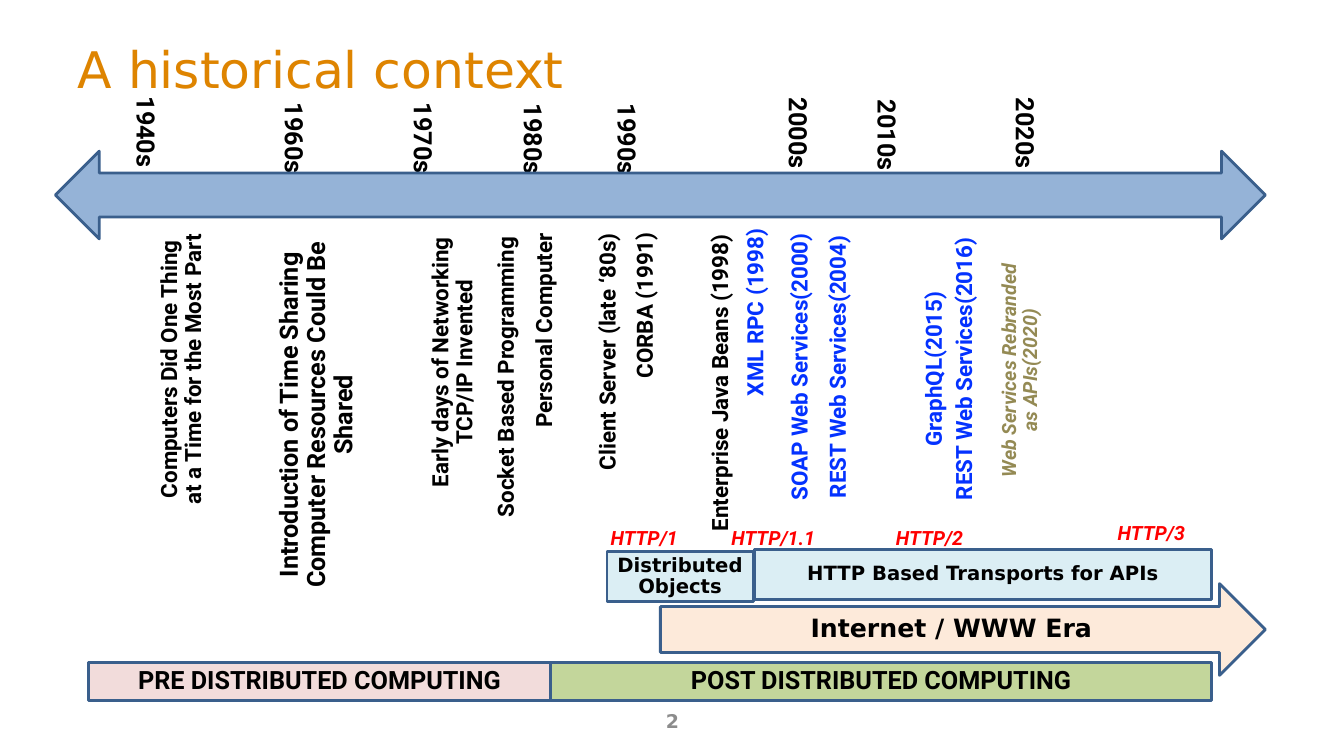
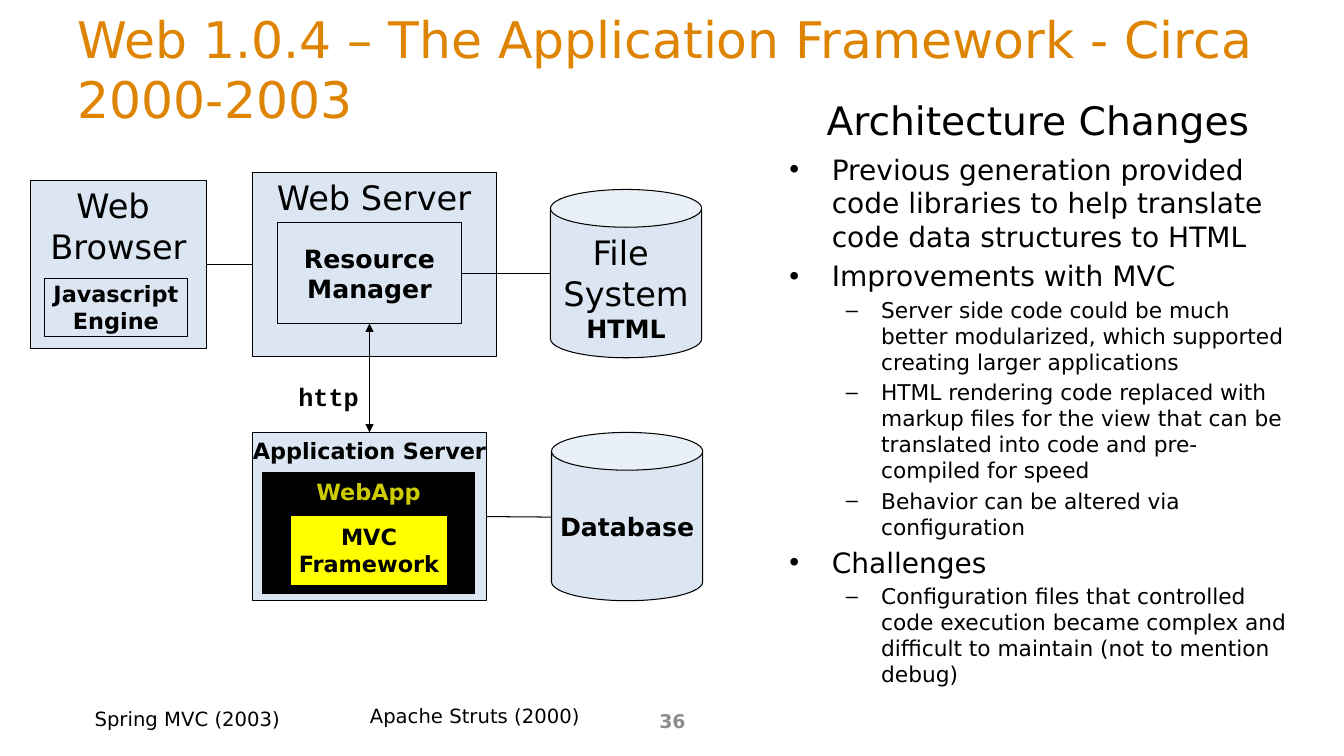
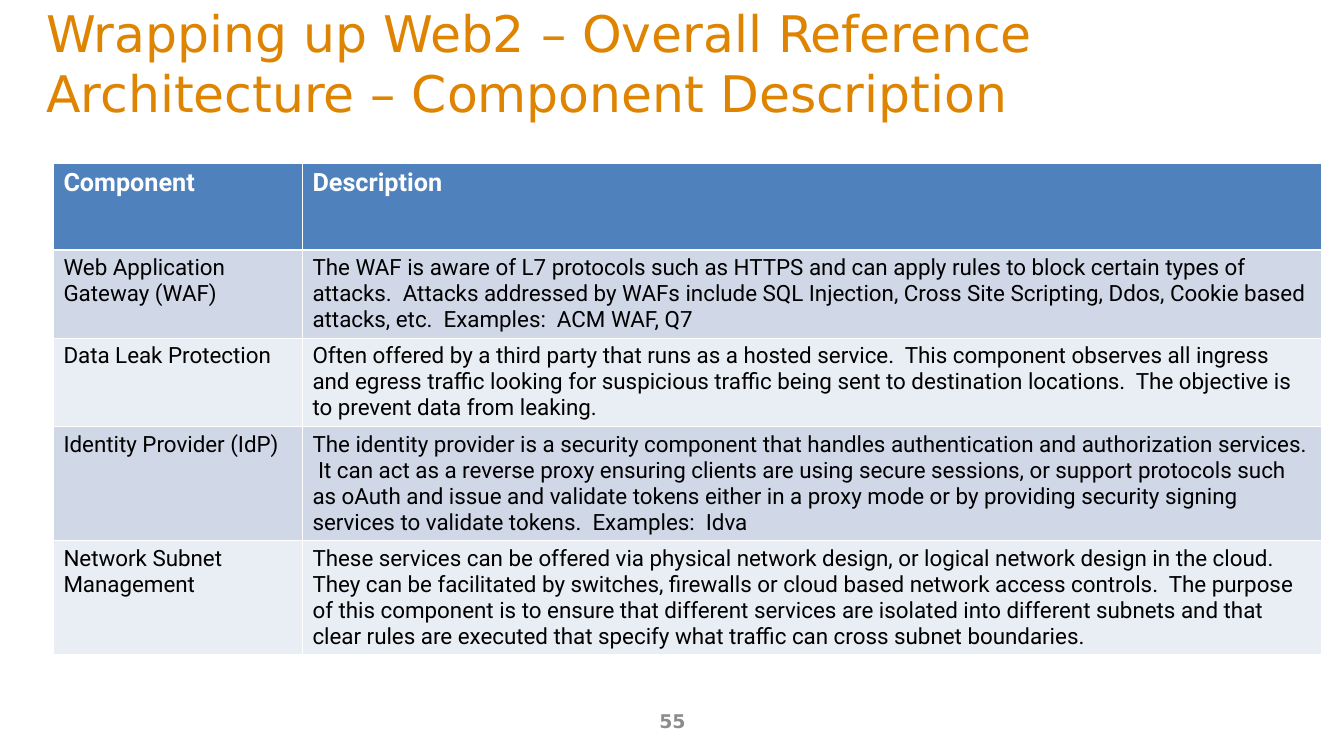
"""Build three slides on the history and design of web systems."""
from collections import namedtuple

from lxml import etree
from pptx import Presentation
from pptx import util as u
from pptx.dml.color import RGBColor
from pptx.enum import shapes, text
from pptx.oxml import ns

PX = 9144

BLACK = RGBColor(0x00, 0x00, 0x00)
WHITE = RGBColor(0xFF, 0xFF, 0xFF)
ORANGE = RGBColor(0xDE, 0x84, 0x00)
GREY = RGBColor(0x8C, 0x8C, 0x8C)
STEEL = RGBColor(0x95, 0xB3, 0xD7)
NAVY = RGBColor(0x3A, 0x5F, 0x8C)
BLUE = RGBColor(0x04, 0x32, 0xFF)
RED = RGBColor(0xFF, 0x00, 0x00)
KHAKI = RGBColor(0x94, 0x8A, 0x54)
PINK = RGBColor(0xF2, 0xDC, 0xDB)
GREEN = RGBColor(0xC3, 0xD6, 0x9B)
PEACH = RGBColor(0xFD, 0xEA, 0xDA)
AQUA = RGBColor(0xDB, 0xEE, 0xF4)
PALE = RGBColor(0xDC, 0xE6, 0xF2)
OLIVE = RGBColor(0xCC, 0xCC, 0x00)
YELLOW = RGBColor(0xFF, 0xFF, 0x00)
HEADER = RGBColor(0x4F, 0x81, 0xBD)
BANDS = RGBColor(0xD0, 0xD8, 0xE8), RGBColor(0xE9, 0xED, 0xF4)

Look = namedtuple("Look", "size name color bold italic", defaults=(BLACK, False, False))
SANS, ROBOTO = "DejaVu Sans", "Roboto"
TITLE = Look(36, SANS, ORANGE)
NUMBER = Look(13.5, SANS, GREY, True)
YEAR = Look(18, ROBOTO, bold=True)
EVENT = Look(16, ROBOTO, bold=True)
WEB = EVENT._replace(color=BLUE)
BRAND = Look(14, ROBOTO, KHAKI, True, True)
HTTP = BRAND._replace(color=RED)
BIG = Look(24, SANS)
STRONG = Look(18, SANS, bold=True)
SMALL = STRONG._replace(size=16)
ERA = STRONG._replace(size=14)
NOTE = Look(14, SANS)

LEFT, MID = text.PP_ALIGN.LEFT, text.PP_ALIGN.CENTER
TOP, CORE = text.MSO_ANCHOR.TOP, text.MSO_ANCHOR.MIDDLE
KIND = shapes.MSO_SHAPE

YEARS = [
    ("1940s", 98, 112), ("1960s", 245, 118), ("1970s", 373, 118), ("1980s", 482, 119),
    ("1990s", 575, 119), ("2000s", 745, 113), ("2010s", 833, 115), ("2020s", 970, 113),
]
EVENTS = [
    ("Computers Did One Thing\nat a Time for the Most Part", EVENT, 30, 337, 302),
    ("Introduction of Time Sharing\nComputer Resources Could Be\nShared", YEAR, 119, 365, 393),
    ("Early days of Networking\nTCP/IP Invented", EVENT, 306, 330, 288),
    ("Socket Based Programming", EVENT, 343, 357, 319),
    ("Personal Computer", EVENT, 427, 311, 227),
    ("Client Server (late ‘80s)", EVENT, 469, 332, 269),
    ("CORBA (1991)", EVENT, 554, 286, 173),
    ("Enterprise Java Beans (1998)", EVENT, 549, 363, 332),
    ("XML RPC (1998)", WEB, 654, 293, 192),
    ("SOAP Web Services(2000)", WEB, 644, 347, 300),
    ("REST Web Services(2004)", WEB, 684, 347, 296),
    ("GraphQL(2015)", WEB, 833, 349, 188),
    ("REST Web Services(2016)", WEB, 809, 349, 296),
    ("Web Services Rebranded\nas APIs(2020)", BRAND, 885, 341, 255),
]
MARKS = [
    ("HTTP/1", 595, 519, 88), ("HTTP/1.1", 715, 519, 104),
    ("HTTP/2", 878, 519, 88), ("HTTP/3", 1098, 514, 88),
]
POINTS = [
    (0, "Previous generation provided code libraries to help translate code data structures to HTML"),
    (0, "Improvements with MVC"),
    (1, "Server side code could be much better modularized, which supported creating larger applications"),
    (1, "HTML rendering code replaced with markup files for the view that can be translated into code "
        "and pre-compiled for speed"),
    (1, "Behavior can be altered via configuration"),
    (0, "Challenges"),
    (1, "Configuration files that controlled code execution became complex and difficult to maintain "
        "(not to mention debug)"),
]
LEVELS = [(20, 42, -42), (15.5, 91, -35)]
ROWS = [
    ("Component", "Description"),
    ("Web Application Gateway (WAF)",
     "The WAF is aware of L7 protocols such as HTTPS and can apply rules to block certain types of "
     "attacks.  Attacks addressed by WAFs include SQL Injection, Cross Site Scripting, Ddos, Cookie "
     "based attacks, etc.  Examples:  ACM WAF, Q7"),
    ("Data Leak Protection",
     "Often offered by a third party that runs as a hosted service.  This component observes all "
     "ingress and egress traffic looking for suspicious traffic being sent to destination locations.  "
     "The objective is to prevent data from leaking."),
    ("Identity Provider (IdP)",
     "The identity provider is a security component that handles authentication and authorization "
     "services.  It can act as a reverse proxy ensuring clients are using secure sessions, or support "
     "protocols such as oAuth and issue and validate tokens either in a proxy mode or by providing "
     "security signing services to validate tokens.  Examples:  Idva"),
    ("Network Subnet Management",
     "These services can be offered via physical network design, or logical network design in the "
     "cloud.  They can be facilitated by switches, firewalls or cloud based network access controls.  "
     "The purpose of this component is to ensure that different services are isolated into different "
     "subnets and that clear rules are executed that specify what traffic can cross subnet boundaries."),
]


def px(*sizes):
    """Turn px into EMU."""
    return [u.Emu(size * PX) for size in sizes]


def put(para, words, look, align=LEFT, pitch=None):
    """Add words to a paragraph, run by run, with line breaks between lines."""
    para.alignment = align
    if pitch:
        para.line_spacing = pitch
    for i, line in enumerate(words.split("\n")):
        if i:
            para.add_line_break()
        run = para.add_run()
        run.text = line
        font = run.font
        font.size, font.name = u.Pt(look.size), look.name
        font.bold, font.italic = look.bold, look.italic
        font.color.rgb = look.color


def setup(frame, anchor, wrap, fit=text.MSO_AUTO_SIZE.NONE):
    """Set how a text frame holds its text."""
    frame.auto_size = fit
    frame.word_wrap = wrap
    frame.vertical_anchor = anchor


def place(shape, box):
    """Move a placeholder to a box."""
    shape.left, shape.top, shape.width, shape.height = px(*box)


def start(deck, layout, title, box, number):
    """Add a slide with its title and number."""
    slide = deck.slides.add_slide(deck.slide_layouts[layout])
    head = slide.shapes.title
    place(head, box)
    setup(head.text_frame, CORE, True)
    put(head.text_frame.paragraphs[0], title, TITLE)
    foot = slide.shapes.add_textbox(*px(456, 695, 422, 40)).text_frame
    setup(foot, CORE, True)
    put(foot.paragraphs[0], number, NUMBER, MID)
    return slide


def label(slide, words, look, x, y, w, align=LEFT, turn=0):
    """Add a text box whose height follows from its lines."""
    lines = words.count("\n") + 1
    high = round(10 + lines * look.size * 1.53)
    box = slide.shapes.add_textbox(*px(x, y, w, high))
    box.rotation = turn
    setup(box.text_frame, TOP, False, text.MSO_AUTO_SIZE.SHAPE_TO_FIT_TEXT)
    put(box.text_frame.paragraphs[0], words, look, align, 0.9)


def block(slide, kind, box, fill, edge, width, paras=(), anchor=CORE, wrap=False, pitch=None):
    """Add a filled shape with centred paragraphs."""
    shape = slide.shapes.add_shape(kind, *px(*box))
    shape.shadow.inherit = False
    shape.fill.solid()
    shape.fill.fore_color.rgb = fill
    shape.line.color.rgb = edge
    shape.line.width = u.Pt(width)
    frame = shape.text_frame
    setup(frame, anchor, wrap)
    for i, (words, look) in enumerate(paras):
        para = frame.add_paragraph() if i else frame.paragraphs[0]
        put(para, words, look, MID, pitch)
    return shape


def band(slide, kind, box, fill, *paras, anchor=CORE):
    """Add a shape of the time line."""
    return block(slide, kind, box, fill, NAVY, 2, paras, anchor, True, 0.9)


def part(slide, box, *paras, kind=KIND.RECTANGLE, fill=PALE, anchor=CORE):
    """Add a part of the system diagram."""
    return block(slide, kind, box, fill, BLACK, 0.75, paras, anchor)


def link(slide, ends, first, last=None, sides=(3, 1), heads=False):
    """Draw a line that leaves one part and may join another."""
    line = slide.shapes.add_connector(shapes.MSO_CONNECTOR.STRAIGHT, *px(*ends))
    line.begin_connect(first, sides[0])
    if last:
        line.end_connect(last, sides[1])
    line.line.color.rgb = BLACK
    line.line.width = u.Pt(0.75)
    props = line._element.spPr
    if heads:
        for tag in ("a:headEnd", "a:tailEnd"):
            etree.SubElement(props.find(ns.qn("a:ln")), ns.qn(tag), type="triangle")
    etree.SubElement(props, ns.qn("a:effectLst"))


def bullets(frame, points):
    """Fill the body with bullets on two levels."""
    setup(frame, TOP, True)
    for i, (level, words) in enumerate(points):
        para = frame.add_paragraph() if i else frame.paragraphs[0]
        size, left, hang = LEVELS[level]
        para.level = level
        props = para._p.get_or_add_pPr()
        props.set("marL", str(left * PX))
        props.set("indent", str(hang * PX))
        if not i:
            para.space_before = u.Pt(0)
        put(para, words, Look(size, SANS))


def history(deck):
    """Build the time line."""
    slide = start(deck, 5, "A historical context", (67, 30, 1200, 76), "2")
    for words, x, y in YEARS:
        label(slide, words, YEAR, x, y, 90, MID, 90)
    band(slide, KIND.LEFT_RIGHT_ARROW, (55, 150, 1200, 87), STEEL)
    for words, look, x, y, w in EVENTS:
        label(slide, words, look, x, y, w, MID, 270)
    rect = KIND.RECTANGLE
    band(slide, rect, (88, 657, 458, 38), PINK, ("PRE DISTRIBUTED COMPUTING", YEAR), anchor=TOP)
    band(slide, rect, (546, 657, 656, 38), GREEN, ("POST DISTRIBUTED COMPUTING", YEAR), anchor=TOP)
    band(slide, KIND.RIGHT_ARROW, (655, 579, 600, 91), PEACH, ("Internet / WWW Era", STRONG))
    band(slide, rect, (602, 547, 145, 50), AQUA, ("Distributed\nObjects", ERA))
    band(slide, rect, (748, 545, 454, 50), AQUA, ("HTTP Based Transports for APIs", ERA))
    for words, x, y, w in MARKS:
        label(slide, words, HTTP, x, y, w, MID)


def framework(deck):
    """Build the system diagram and its notes."""
    slide = start(deck, 1, "Web 1.0.4 – The Application Framework - Circa 2000-2003",
                  (67, 30, 1196, 76), "36")
    body = slide.placeholders[1]
    place(body, (773, 146, 516, 545))
    bullets(body.text_frame, POINTS)

    client = part(slide, (30, 179, 175, 167), ("Web ", BIG), ("Browser", BIG), anchor=TOP)
    part(slide, (44, 276, 142, 58), ("Javascript\nEngine", SMALL))
    server = part(slide, (250, 171, 242, 183), ("Web Server", BIG), anchor=TOP)
    broker = part(slide, (275, 221, 183, 100), ("Resource\nManager", STRONG))
    part(slide, (546, 188, 150, 167), ("File \nSystem", BIG), ("HTML", STRONG),
         kind=KIND.CAN, anchor=TOP)
    host = part(slide, (250, 429, 233, 167), ("Application Server", SMALL), anchor=TOP)
    part(slide, (260, 469, 211, 120), ("WebApp", SMALL._replace(color=OLIVE)),
         fill=BLACK, anchor=TOP)
    part(slide, (288, 511, 156, 70), ("MVC\nFramework", SMALL), fill=YELLOW)
    part(slide, (547, 429, 150, 167), ("Database", STRONG), kind=KIND.CAN)

    link(slide, (205, 263, 250, 263), client, server)
    link(slide, (458, 271, 546, 271), broker)
    link(slide, (366, 321, 366, 429), broker, host, (2, 0), True)
    link(slide, (483, 513, 547, 513), host)

    label(slide, "http", STRONG._replace(name="Courier New"), 286, 377, 81)
    label(slide, "Architecture Changes", Look(28, SANS), 810, 96, 443)
    label(slide, "Spring MVC (2003)", NOTE, 84, 699, 210)
    label(slide, "Apache Struts (2000)", NOTE, 357, 696, 233)


def summary(deck):
    """Build the table of components."""
    slide = start(deck, 5, "Wrapping up Web2 – Overall Reference Architecture – Component Description",
                  (36, 24, 1297, 76), "55")
    wide, high = (247, 1011), 86
    grid = slide.shapes.add_table(len(ROWS), len(wide),
                                  *px(53, 162, sum(wide), high * len(ROWS))).table
    for col, size in zip(grid.columns, px(*wide)):
        col.width = size
    for i, row in enumerate(ROWS):
        look = Look(16, ROBOTO) if i else Look(18, ROBOTO, WHITE, True)
        for j, words in enumerate(row):
            cell = grid.cell(i, j)
            cell.fill.solid()
            cell.fill.fore_color.rgb = BANDS[(i - 1) % 2] if i else HEADER
            put(cell.text_frame.paragraphs[0], words, look)


def main():
    """Build and save the deck."""
    deck = Presentation()
    deck.slide_width, deck.slide_height = px(1333, 750)
    history(deck)
    framework(deck)
    summary(deck)
    deck.save("out.pptx")


if __name__ == "__main__":
    main()
